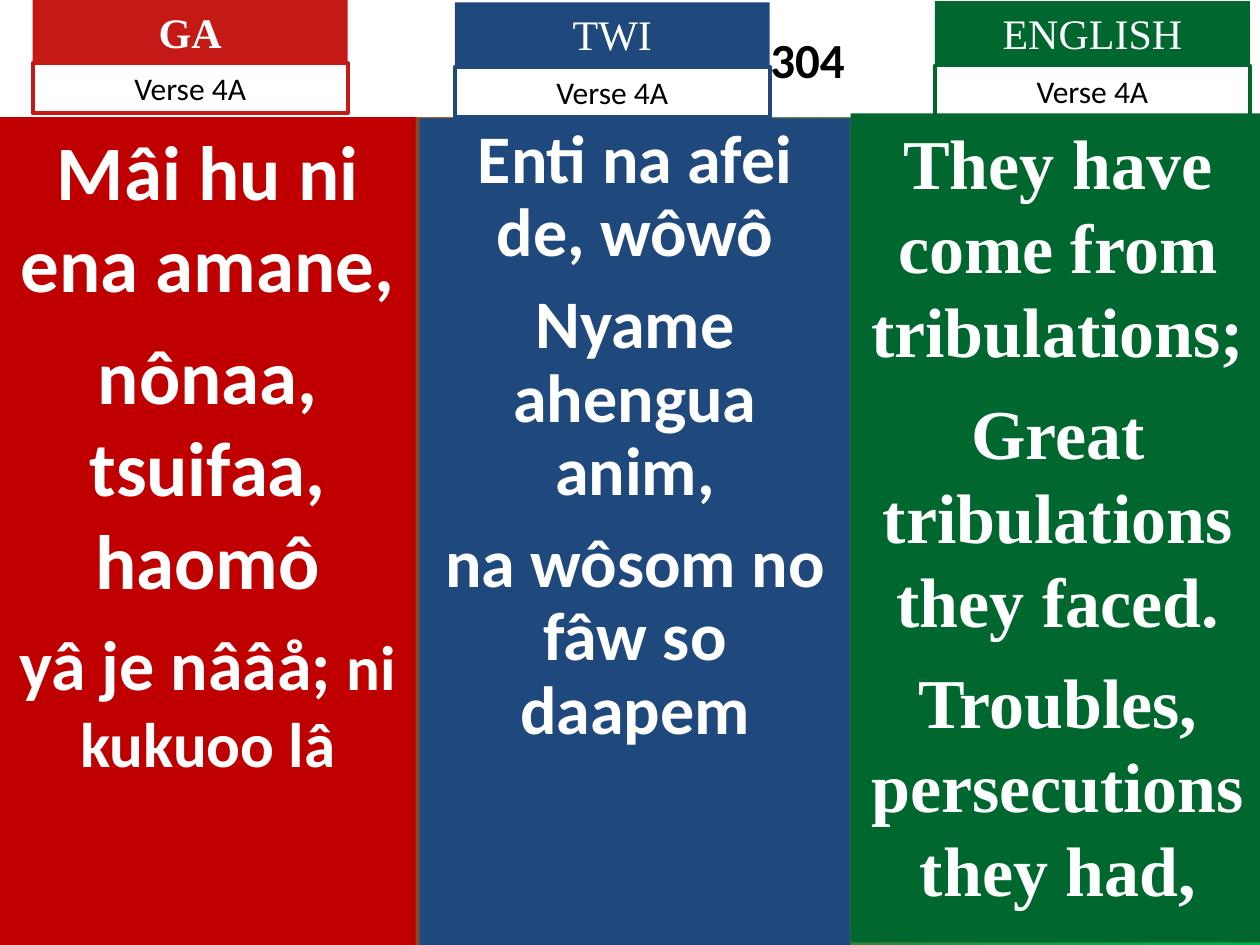
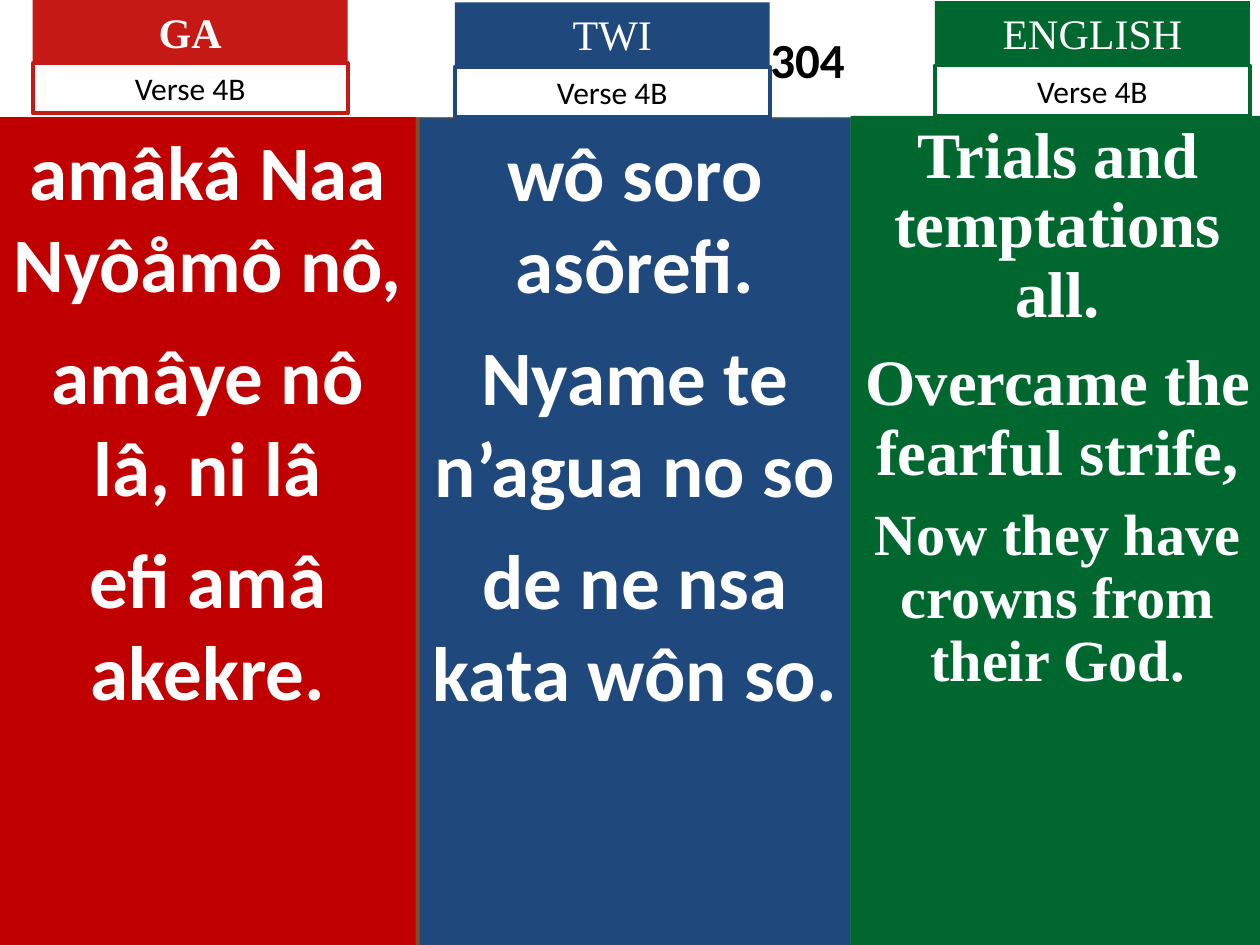
from dataclasses import dataclass

from pptx import Presentation
from pptx import util as u
from pptx.dml.color import RGBColor
from pptx.enum import shapes, text

PX = 9144
WHITE, BLACK = "FFFFFF", "000000"
SANS, SERIF = "Calibri", "Times New Roman"
HYMN_NUMBER = "304"
LABEL_WIDTH, LABEL_HEIGHT, VERSE_HEIGHT = 250, 50, 40


@dataclass(frozen=True)
class Language:
    name: str
    label_tint: str
    column_tint: str
    column_left: int
    column_width: int
    label_left: int
    label_top: int
    verse_top: int
    font: str
    label_bold: bool = False


@dataclass(frozen=True)
class Span:
    words: str
    size: float


@dataclass(frozen=True)
class Lyrics:
    top: int
    height: int
    lines: list[list[Span]]
    gap: float
    last_gap: float
    spacing: float = 1.0


@dataclass(frozen=True)
class Verse:
    title: str
    lyrics: list[Lyrics]


LANGUAGES = [
    Language("GA", "C51915", "C00000", 0, 330, 26, 0, 50, SANS, True),
    Language("TWI", "1F497D", "1F497D", 333, 342, 361, 2, 53, SANS),
    Language("ENGLISH", "00682F", "00682F", 675, 329, 742, 1, 52, SERIF),
]


def same_size(size: float, *lines: str) -> list[list[Span]]:
    return [[Span(line, size)] for line in lines]


VERSES = [
    Verse("Verse 4A", [
        Lyrics(93, 657, same_size(44, "Mâi hu ni ena amane,", "nônaa, tsuifaa, haomô")
               + [[Span("yâ je nââå; ", 40), Span("ni kukuoo lâ", 36)]], 11, 9),
        Lyrics(94, 656, same_size(38.9, "Enti na afei de, wôwô", "Nyame ahengua anim,",
                                  "na wôsom no fâw so daapem"), 10.5, 10.5, 0.9),
        Lyrics(90, 658, same_size(40, "They have come from tribulations;",
                                  "Great tribulations they faced.",
                                  "Troubles, persecutions they had,"), 10, 10),
    ]),
    Verse("Verse 4B", [
        Lyrics(93, 657, same_size(44, "amâkâ Naa Nyôåmô nô,", "amâye nô lâ, ni lâ",
                                  "efi amâ akekre."), 11, 11),
        Lyrics(94, 656, same_size(44, "wô soro asôrefi.", "Nyame te n’agua no so",
                                  "de ne nsa kata wôn so."), 11, 11),
        Lyrics(92, 658, same_size(37, "Trials and temptations all.",
                                  "Overcame the fearful strife,")
               + same_size(33.3, "Now they have crowns from their God."), 10, 9, 0.9),
    ]),
]


def color(hex_code: str) -> RGBColor:
    return RGBColor.from_string(hex_code)


def add_box(page, left: int, top: int, width: int, height: int,
            fill: str | None = None, line: str | None = None):
    box = page.shapes.add_shape(shapes.MSO_SHAPE.RECTANGLE,
                                *(value * PX for value in (left, top, width, height)))
    box.shadow.inherit = False
    if fill:
        box.fill.solid()
        box.fill.fore_color.rgb = color(fill)
    else:
        box.fill.background()
    if line:
        box.line.color.rgb = color(line)
        box.line.width = u.Pt(2.25)
    else:
        box.line.fill.background()
    frame = box.text_frame
    frame.word_wrap = True
    frame.vertical_anchor = text.MSO_ANCHOR.TOP
    frame.paragraphs[0].alignment = text.PP_ALIGN.CENTER
    return box


def write(para, words: str, *, size: float, font: str, tint: str = WHITE,
          bold: bool = False) -> None:
    span = para.add_run()
    span.text = words
    span.font.size = u.Pt(size)
    span.font.name = font
    span.font.bold = bold
    span.font.color.rgb = color(tint)


def add_title_band(page) -> None:
    frame = add_box(page, 0, 0, 1000, 93, fill=WHITE).text_frame
    frame.margin_left, frame.margin_right = 282 * PX, 0
    frame.vertical_anchor = text.MSO_ANCHOR.MIDDLE
    write(frame.paragraphs[0], HYMN_NUMBER, size=28, font=SANS, tint=BLACK, bold=True)


def add_lyrics(page, language: Language, lyrics: Lyrics) -> None:
    column = add_box(page, language.column_left, lyrics.top, language.column_width,
                     lyrics.height, fill=language.column_tint)
    frame = column.text_frame
    last = len(lyrics.lines) - 1
    for index, spans in enumerate(lyrics.lines):
        para = frame.add_paragraph() if index else frame.paragraphs[0]
        para.alignment = text.PP_ALIGN.CENTER
        para.line_spacing = lyrics.spacing
        if index:
            para.space_before = u.Pt(lyrics.last_gap if index == last else lyrics.gap)
        for span in spans:
            write(para, span.words, size=span.size, font=language.font, bold=True)


def add_heading(page, language: Language, title: str) -> None:
    label = add_box(page, language.label_left, language.label_top, LABEL_WIDTH,
                    LABEL_HEIGHT, fill=language.label_tint)
    write(label.text_frame.paragraphs[0], language.name, size=24, font=SERIF,
          bold=language.label_bold)
    verse = add_box(page, language.label_left, language.verse_top, LABEL_WIDTH,
                    VERSE_HEIGHT, line=language.label_tint)
    write(verse.text_frame.paragraphs[0], title, size=18, font=SANS, tint=BLACK)


def paint_background(page) -> None:
    fill = page.background.fill
    fill.gradient()
    fill.gradient_angle = 0
    for stop, tint in zip(fill.gradient_stops, ("C51915", "00B050")):
        stop.color.rgb = color(tint)


def main() -> None:
    deck = Presentation()
    deck.slide_width, deck.slide_height = 1000 * PX, 750 * PX
    for verse in VERSES:
        page = deck.slides.add_slide(deck.slide_layouts[6])
        paint_background(page)
        add_title_band(page)
        for language, lyrics in zip(LANGUAGES, verse.lyrics):
            add_lyrics(page, language, lyrics)
            add_heading(page, language, verse.title)
    deck.save("out.pptx")


if __name__ == "__main__":
    main()
